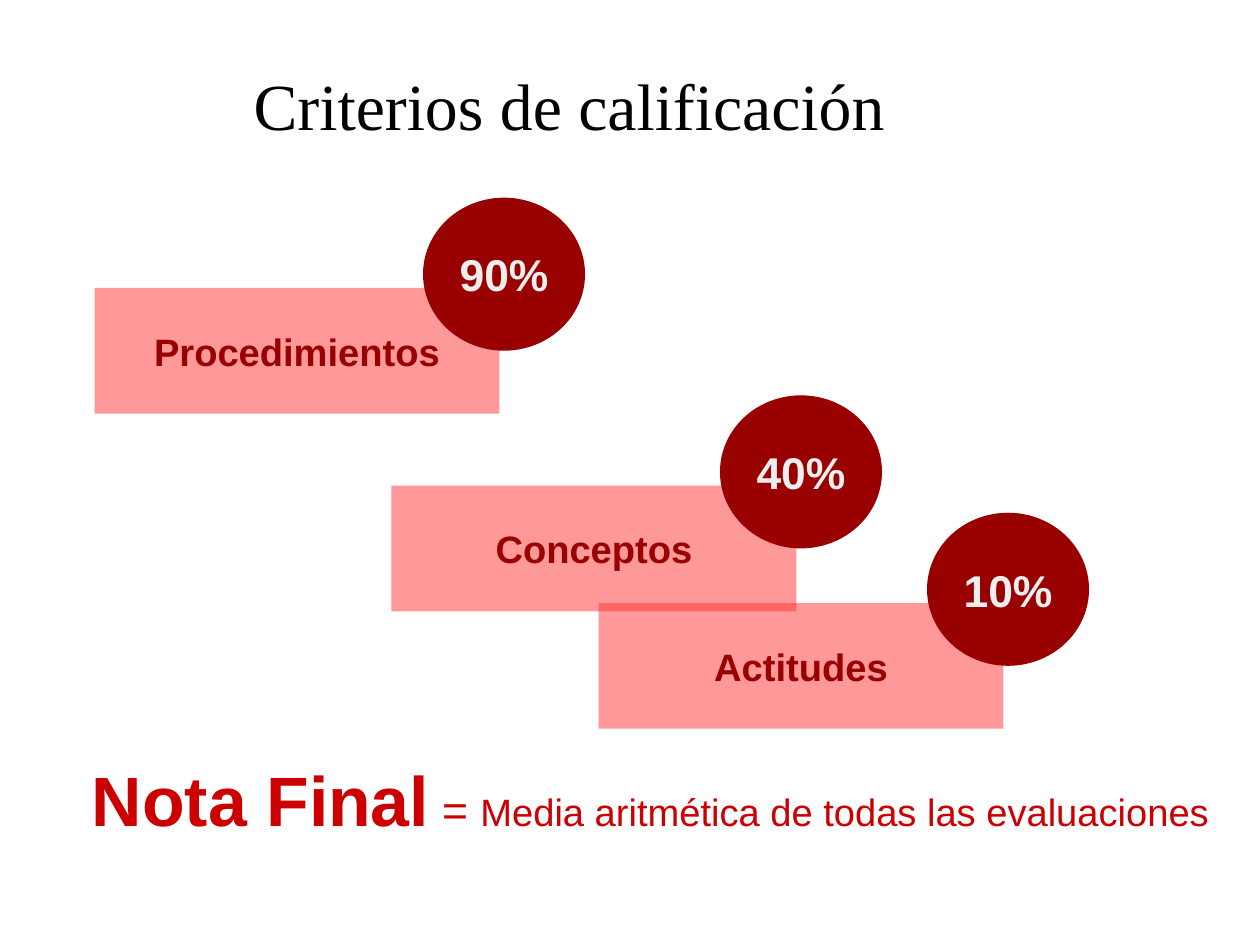
from dataclasses import dataclass

from lxml.etree import SubElement
from pptx import Presentation
from pptx.dml.color import RGBColor
from pptx.enum.shapes import MSO_SHAPE as Shape
from pptx.enum.text import MSO_ANCHOR as Anchor, MSO_AUTO_SIZE as AutoSize, PP_ALIGN as Align
from pptx.oxml.ns import qn
from pptx.util import Cm, Pt

SLIDE_W, SLIDE_H = Cm(28), Cm(21)
DARK, PINK, RED = "990000", "FF3333", "CC0000"


@dataclass
class Box:
    """Place and size, in percent of the slide's width and height."""
    x: float
    y: float
    w: float
    h: float

    def emu(self) -> tuple[int, int, int, int]:
        return (round(SLIDE_W * self.x / 100), round(SLIDE_H * self.y / 100),
                round(SLIDE_W * self.w / 100), round(SLIDE_H * self.h / 100))


@dataclass
class Run:
    text: str
    size: float
    color: str
    bold: bool = True
    font: str = "Arial"


@dataclass
class Criterion:
    name: str
    weight: str
    x: float
    y: float


CRITERIA = [
    Criterion("Procedimientos", "90%", 7.5, 30.47),
    Criterion("Conceptos", "40%", 31.07, 51.39),
    Criterion("Actitudes", "10%", 47.5, 63.81),
]
BAR_W, BAR_H = 32.14, 13.3
DISC_W, DISC_H = 12.86, 16.2
DISC_DX, DISC_DY = 26.07, -9.55  # disc offset from its bar


def rgb(color: str) -> RGBColor:
    return RGBColor.from_string(color)


def write(tf, runs: list[Run], align: Align, anchor: Anchor, wrap: bool = False) -> None:
    tf.word_wrap = wrap
    tf.vertical_anchor = anchor
    p = tf.paragraphs[0]
    p.alignment = align
    for run in runs:
        r = p.add_run()
        r.text = run.text
        r.font.name, r.font.size, r.font.bold = run.font, Pt(run.size), run.bold
        r.font.color.rgb = rgb(run.color)


def add_label(slide, kind: Shape, box: Box, fill: str, run: Run, opacity: int = 100) -> None:
    sp = slide.shapes.add_shape(kind, *box.emu())
    sp.shadow.inherit = False
    sp.line.fill.background()
    sp.fill.solid()
    sp.fill.fore_color.rgb = rgb(fill)
    if opacity < 100:
        color = sp.element.spPr.find(qn("a:solidFill"))[0]
        SubElement(color, qn("a:alpha")).set("val", str(opacity * 1000))
    write(sp.text_frame, [run], Align.CENTER, Anchor.MIDDLE)


def main() -> None:
    prs = Presentation()
    prs.slide_width, prs.slide_height = SLIDE_W, SLIDE_H
    slide = prs.slides.add_slide(prs.slide_layouts[5])

    # Title
    title = slide.shapes.title
    title.left, title.top, title.width, title.height = Box(4.99, 3.75, 80.4, 14.63).emu()
    tf = title.text_frame
    tf.margin_left = tf.margin_right = tf.margin_top = tf.margin_bottom = 0
    tf.auto_size = AutoSize.NONE
    write(tf, [Run("Criterios de calificación", 41.4, "000000", False, "Times New Roman")],
          Align.CENTER, Anchor.MIDDLE, wrap=True)

    # Translucent bars, then the weight discs on top
    for c in CRITERIA:
        add_label(slide, Shape.RECTANGLE, Box(c.x, c.y, BAR_W, BAR_H), PINK,
                  Run(c.name, 24, DARK), opacity=50)
    for c in CRITERIA:
        add_label(slide, Shape.OVAL, Box(c.x + DISC_DX, c.y + DISC_DY, DISC_W, DISC_H), DARK,
                  Run(c.weight, 28, "EEEEEE"))

    # Final mark
    note = slide.shapes.add_textbox(*Box(6.4, 79.44, 90.44, 9.43).emu())
    write(note.text_frame, [
        Run("Nota Final", 44, RED),
        Run(" ", 28, RED),
        Run("= ", 28, RED, False),
        Run("Media aritmética de todas las evaluaciones", 24, RED, False),
    ], Align.LEFT, Anchor.TOP)

    prs.save("out.pptx")


if __name__ == "__main__":
    main()
